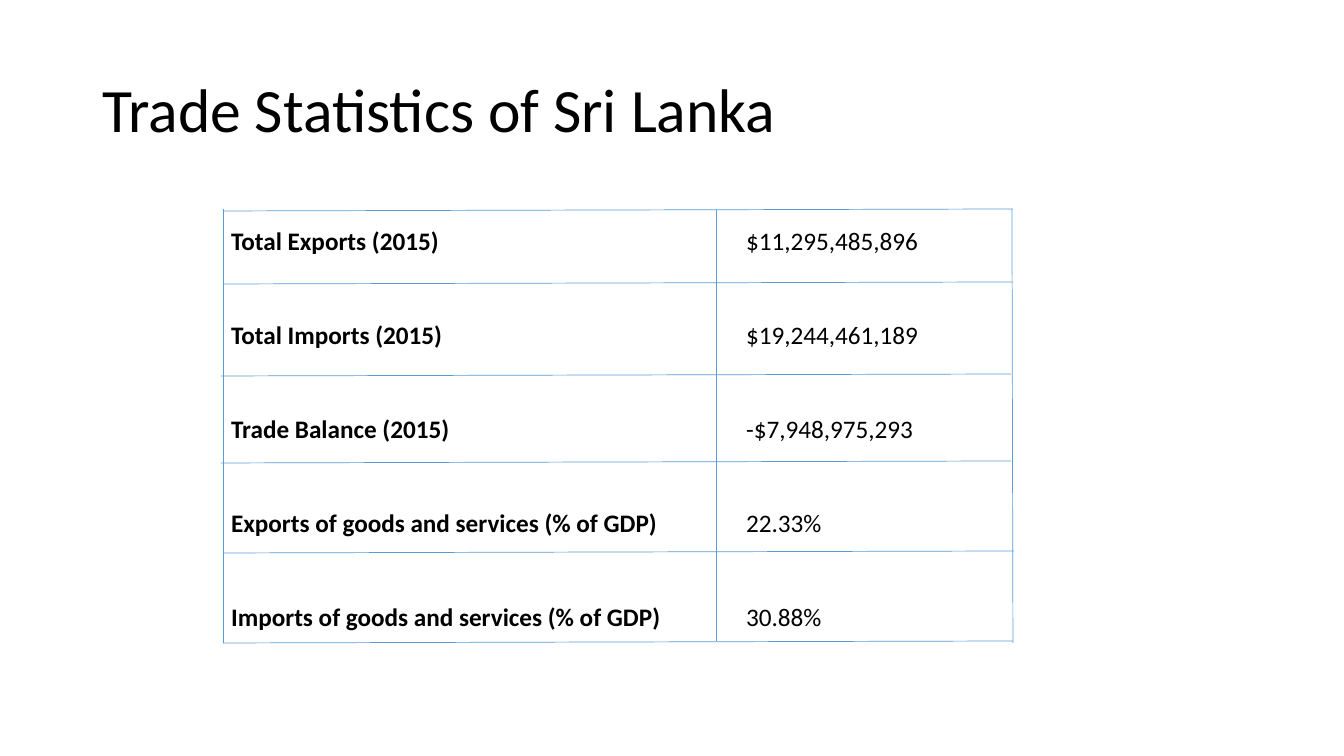
from lxml import etree
from pptx import Presentation
from pptx import util as u
from pptx.dml.color import RGBColor
from pptx.enum import shapes, text
from pptx.oxml.ns import qn

BLACK = RGBColor(0x00, 0x00, 0x00)
BLUE = RGBColor(0x5B, 0x9B, 0xD5)
SLIDE_W, SLIDE_H = 1344, 756
SCALE = 12192000 / SLIDE_W

STATISTICS = [
    ("Total Exports (2015)", "$11,295,485,896"),
    ("Total Imports (2015)", "$19,244,461,189"),
    ("Trade Balance (2015)", "-$7,948,975,293"),
    ("Exports of goods and services (% of GDP)", "22.33%"),
    ("Imports of goods and services (% of GDP)", "30.88%"),
]
RULE_STARTS = [(223, 211), (223, 284), (221, 376), (221, 463), (224, 553), (223, 643)]
RULE_WIDTH, RULE_RISE = 790, 2
UPRIGHTS = [(223, 643, 223, 209), (716, 210, 716, 641), (1013, 643, 1012, 209)]


def px(length):
    """Turn whole pixels into EMU."""
    return u.Emu(round(length * SCALE))


def write(frame, words, size=18, bold=False, color=BLACK, font="Calibri", spacing=1.0):
    """Put one formatted, left-aligned paragraph into a text frame."""
    paragraph = frame.paragraphs[0]
    paragraph.alignment = text.PP_ALIGN.LEFT
    paragraph.line_spacing = spacing
    run = paragraph.add_run()
    run.text = words
    run.font.size = u.Pt(size)
    run.font.bold = bold
    run.font.name = font
    run.font.color.rgb = color


class StatisticsSlide:
    """Holds the current slide and its line style."""

    def __init__(self, deck, line_color=BLUE, line_width=0.5):
        """Add a title-only slide to the deck."""
        self.slide = deck.slides.add_slide(deck.slide_layouts[5])
        self.line_color = line_color
        self.line_width = u.Pt(line_width)

    def title(self, words, left, top, width, height):
        """Place and fill the title placeholder."""
        heading = self.slide.shapes.title
        heading.left, heading.top = px(left), px(top)
        heading.width, heading.height = px(width), px(height)
        frame = heading.text_frame
        frame.auto_size = text.MSO_AUTO_SIZE.NONE
        frame.vertical_anchor = text.MSO_ANCHOR.MIDDLE
        write(frame, words, size=44, spacing=0.9)

    def table(self, rows, left, top, width, height):
        """Add a plain table with bold labels in its first column."""
        grid = self.slide.shapes.add_table(
            len(rows), len(rows[0]), px(left), px(top), px(width), px(height)).table
        grid.first_row = grid.horz_banding = False
        for r, row in enumerate(rows):
            for c, words in enumerate(row):
                cell = grid.cell(r, c)
                cell.fill.background()
                cell.vertical_anchor = text.MSO_ANCHOR.MIDDLE
                write(cell.text_frame, words, bold=c == 0)

    def line(self, x1, y1, x2, y2):
        """Draw a thin straight line without shadow."""
        rule = self.slide.shapes.add_connector(
            shapes.MSO_CONNECTOR.STRAIGHT, px(x1), px(y1), px(x2), px(y2))
        rule.line.color.rgb = self.line_color
        rule.line.width = self.line_width
        etree.SubElement(rule._element.spPr, qn("a:effectLst"))


def main():
    """Build and save the slide."""
    deck = Presentation()
    deck.slide_width, deck.slide_height = px(SLIDE_W), px(SLIDE_H)
    page = StatisticsSlide(deck)
    page.title("Trade Statistics of Sri Lanka", 92, 40, 1159, 146)
    page.table(STATISTICS, 221, 195, 1030, 470)
    for x, y in RULE_STARTS:
        page.line(x, y, x + RULE_WIDTH, y - RULE_RISE)
    for ends in UPRIGHTS:
        page.line(*ends)
    deck.save("out.pptx")


main()
